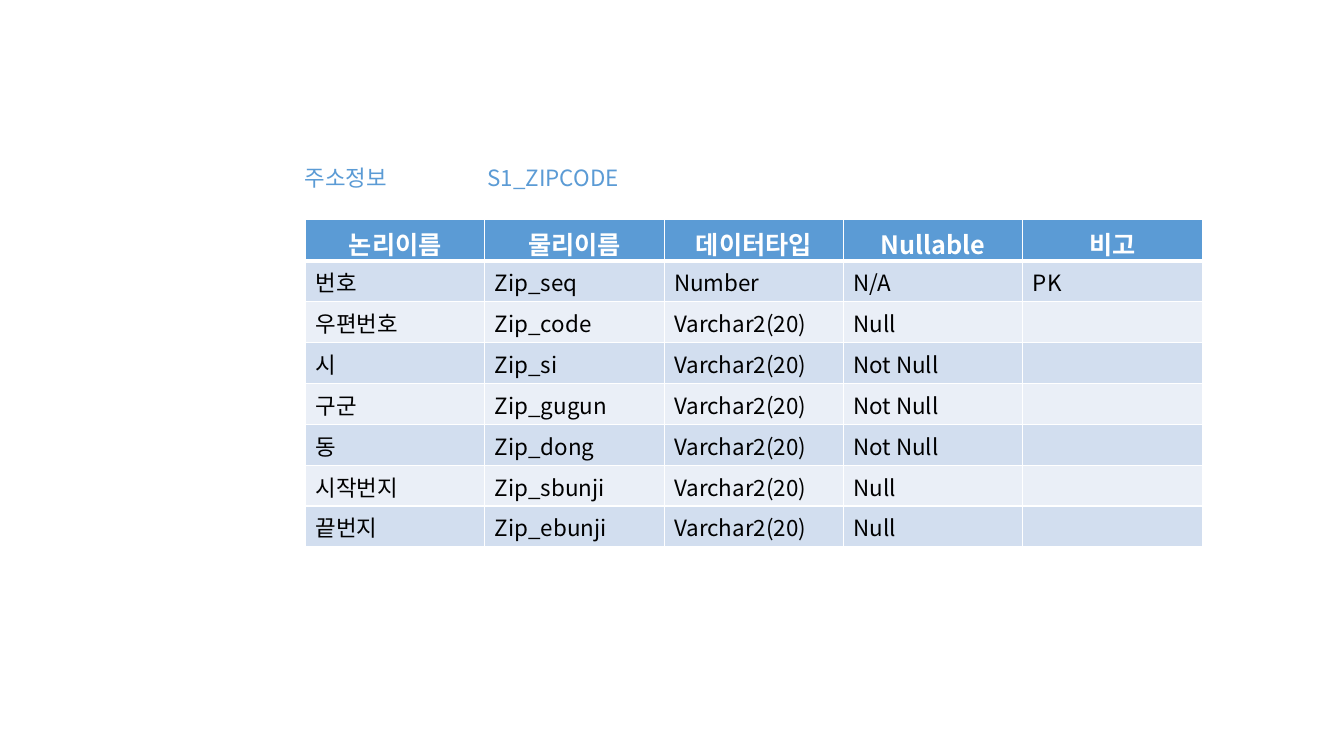
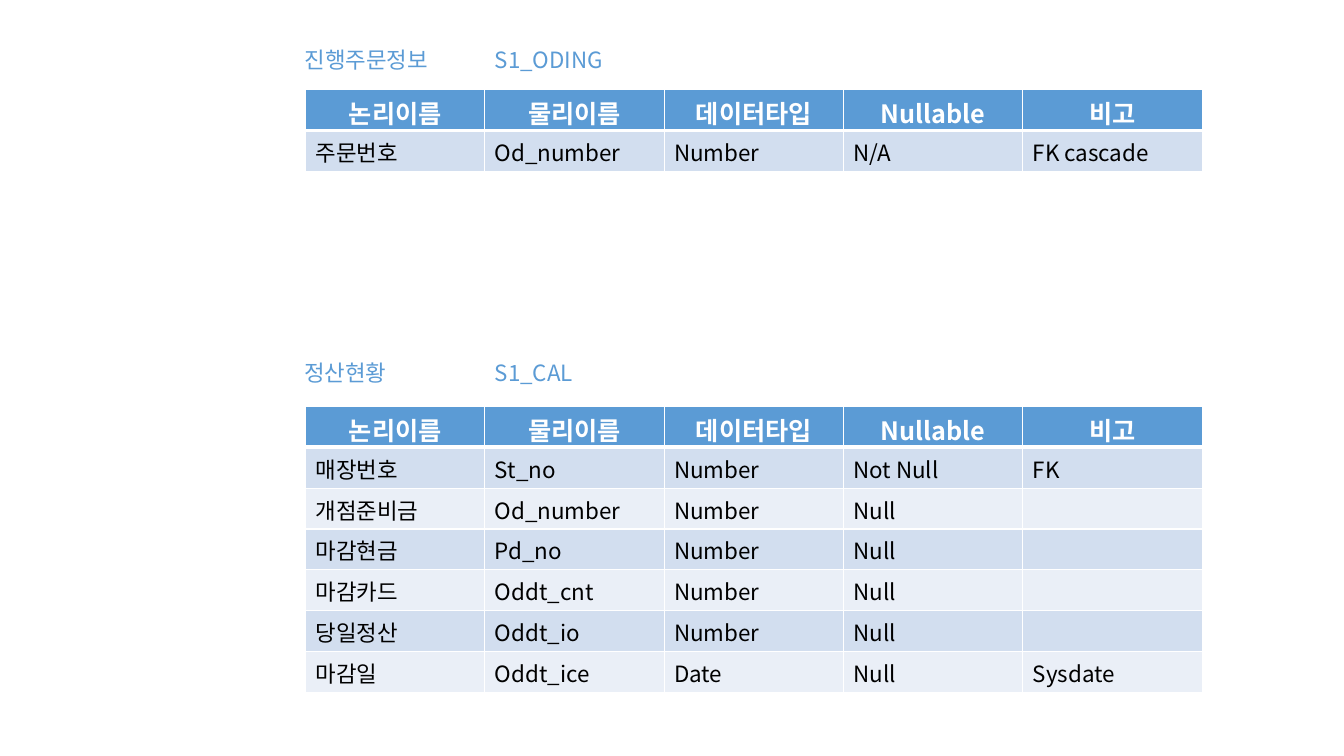
from lxml import etree
from pptx import Presentation
from pptx.dml.color import RGBColor
from pptx.enum.text import MSO_ANCHOR, MSO_AUTO_SIZE, PP_ALIGN
from pptx.oxml.ns import qn
from pptx.text.text import Font
from pptx.util import Cm, Pt

LEFT = PP_ALIGN.LEFT
CENTER = PP_ALIGN.CENTER
JUSTIFY = PP_ALIGN.JUSTIFY
TOP = MSO_ANCHOR.TOP
FIT_SHAPE = MSO_AUTO_SIZE.SHAPE_TO_FIT_TEXT

TITLE_ONLY = 5
HEADINGS = ("논리이름", "물리이름", "데이터타입", "Nullable", "비고")
ZIPCODE_ROWS = (
    ("번호", "Zip_seq", "Number", "N/A", "PK"),
    ("우편번호", "Zip_code", "Varchar2(20)", "Null", ""),
    ("시", "Zip_si", "Varchar2(20)", "Not Null", ""),
    ("구군", "Zip_gugun", "Varchar2(20)", "Not Null", ""),
    ("동", "Zip_dong", "Varchar2(20)", "Not Null", ""),
    ("시작번지", "Zip_sbunji", "Varchar2(20)", "Null", ""),
    ("끝번지", "Zip_ebunji", "Varchar2(20)", "Null", ""),
)
ORDER_ROWS = (("주문번호", "Od_number", "Number", "N/A", "FK cascade"),)
SETTLEMENT_ROWS = (
    ("매장번호", "St_no", "Number", "Not Null", "FK"),
    ("개점준비금", "Od_number", "Number", "Null", ""),
    ("마감현금", "Pd_no", "Number", "Null", ""),
    ("마감카드", "Oddt_cnt", "Number", "Null", ""),
    ("당일정산", "Oddt_io", "Number", "Null", ""),
    ("마감일", "Oddt_ice", "Date", "Null", "Sysdate"),
)


def color(value):
    return RGBColor.from_string(value)


class SchemaDeck:
    font_name = "Noto Sans CJK KR"
    accent = "5B9BD5"
    white = "FFFFFF"
    black = "000000"
    bands = ("D2DEEF", "EAEFF7")
    label_left = 7.42
    label_height = 0.94
    table_left = 7.7
    column_width = 4.52
    row_height = 1.03

    def __init__(self):
        self.presentation = Presentation()
        self.presentation.slide_width = Cm(33.87)
        self.presentation.slide_height = Cm(19.05)
        self.slide = None

    def add_slide(self):
        layout = self.presentation.slide_layouts[TITLE_ONLY]
        self.slide = self.presentation.slides.add_slide(layout)

    def format_text(self, paragraph, size, text_color, bold, alignment):
        paragraph.alignment = alignment
        properties = [run.font._rPr for run in paragraph.runs]
        if not properties:
            properties = [paragraph._p.get_or_add_endParaRPr()]
        for element in properties:
            font = Font(element)
            font.size = Pt(size)
            font.bold = bold
            font.name = self.font_name
            font.fill.solid()
            font.fill.fore_color.rgb = color(text_color)
            etree.SubElement(element, qn("a:ea"), typeface=self.font_name)

    def label(self, shape, text, left, top, width):
        shape.left, shape.top = Cm(left), Cm(top)
        shape.width, shape.height = Cm(width), Cm(self.label_height)
        frame = shape.text_frame
        frame.text = text
        frame.word_wrap = False
        frame.auto_size = FIT_SHAPE
        frame.vertical_anchor = TOP
        self.format_text(frame.paragraphs[0], 16, self.accent, False, LEFT)

    def title(self, text, top, width):
        self.label(self.slide.shapes.title, text, self.label_left, top, width)

    def text_label(self, text, top, width, left=label_left):
        shape = self.slide.shapes.add_textbox(0, 0, 0, 0)
        self.label(shape, text, left, top, width)

    def borders(self, cell, top_width, bottom_width):
        properties = cell._tc.get_or_add_tcPr()
        widths = {"a:lnL": 1, "a:lnR": 1, "a:lnT": top_width, "a:lnB": bottom_width}
        for tag, width in widths.items():
            line = etree.SubElement(properties, qn(tag), w=str(Pt(width)))
            fill = etree.SubElement(line, qn("a:solidFill"))
            etree.SubElement(fill, qn("a:srgbClr"), val=self.white)

    def cell(self, cell, text, row_index):
        is_header = row_index == 0
        cell.text_frame.text = text
        self.borders(cell, 3 if row_index == 1 else 1, 3 if is_header else 1)
        cell.fill.solid()
        band = self.bands[(row_index - 1) % 2]
        cell.fill.fore_color.rgb = color(self.accent if is_header else band)
        style = (18, self.white, True, CENTER) if is_header else (16, self.black, False, JUSTIFY)
        self.format_text(cell.text_frame.paragraphs[0], *style)

    def table(self, top, rows, bottom_margin=0.13):
        records = (HEADINGS, *rows)
        table = self.slide.shapes.add_table(
            len(records), len(HEADINGS), Cm(self.table_left), Cm(top),
            Cm(self.column_width * len(HEADINGS)), Cm(self.row_height * len(records)),
        ).table
        for column in table.columns:
            column.width = Cm(self.column_width)
        for row_index, record in enumerate(records):
            table.rows[row_index].height = Cm(self.row_height)
            for column_index, text in enumerate(record):
                cell = table.cell(row_index, column_index)
                cell.margin_bottom = Cm(bottom_margin)
                self.cell(cell, text, row_index)


def main():
    deck = SchemaDeck()

    deck.add_slide()
    deck.title("주소정보", 4.01, 2.69)
    deck.text_label("S1_ZIPCODE", 4.01, 4.52, left=12.04)
    deck.table(5.54, ZIPCODE_ROWS)

    deck.add_slide()
    deck.title("진행주문정보", 1.04, 3.81)
    deck.text_label("S1_ODING", 1.04, 3.76, left=12.22)
    deck.table(2.26, ORDER_ROWS)
    deck.text_label("정산현황", 8.92, 2.69)
    deck.text_label("S1_CAL", 8.92, 2.9, left=12.22)
    deck.table(10.24, SETTLEMENT_ROWS, bottom_margin=0)

    deck.presentation.save("out.pptx")


if __name__ == "__main__":
    main()
